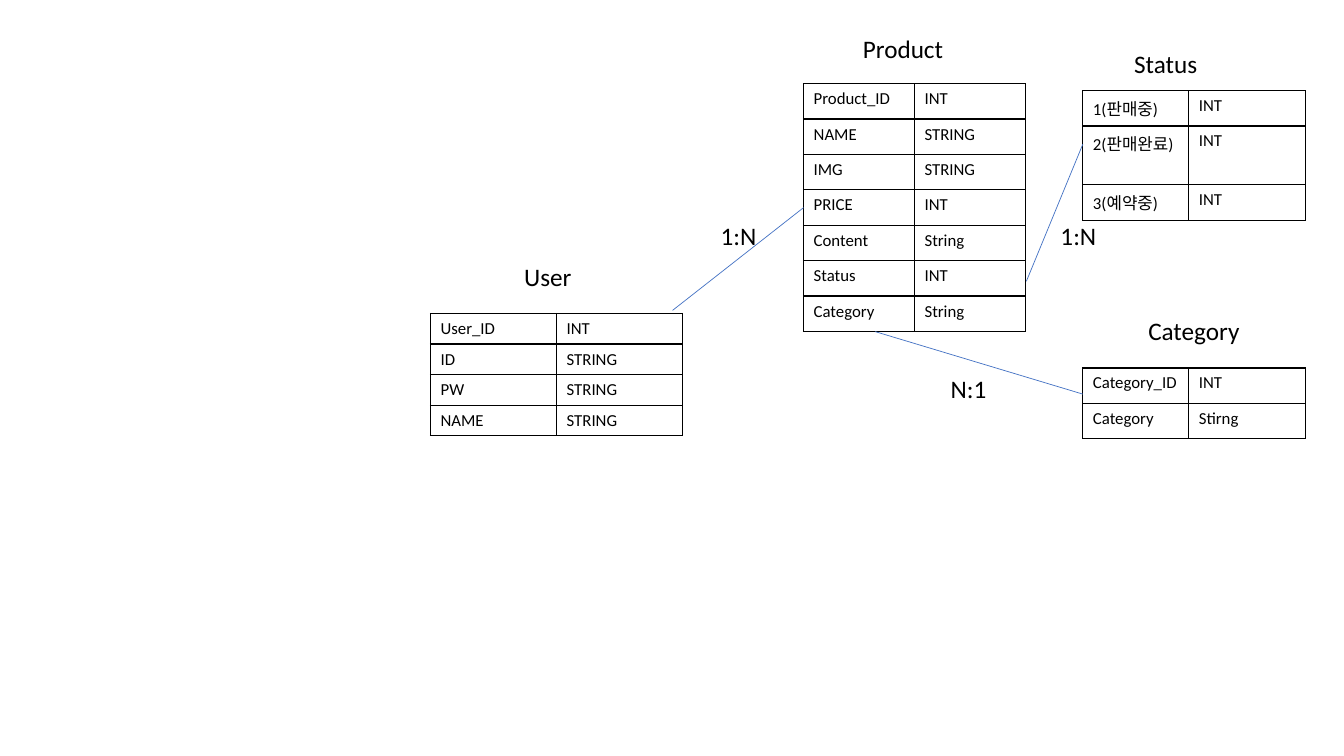
"""Build a slide with the entity tables of a shop and their relations."""
from dataclasses import dataclass

from lxml import etree
from pptx import Presentation
from pptx.dml.color import RGBColor
from pptx.enum.shapes import MSO_CONNECTOR
from pptx.oxml.ns import qn
from pptx.util import Inches, Pt

STRAIGHT = MSO_CONNECTOR.STRAIGHT


@dataclass(frozen=True)
class Theme:
    font: str = "Calibri"
    ink: str = "000000"
    link: str = "4472C4"
    head: int = 18
    body: int = 12
    rule: float = 1
    thin: float = 0.5


theme = Theme()


def style(para, size):
    para.font.name = theme.font
    para.font.size = Pt(size)
    para.font.color.rgb = RGBColor.from_string(theme.ink)


def border(cell):
    props = cell._tc.get_or_add_tcPr()
    for side in ("lnL", "lnR", "lnT", "lnB"):
        line = etree.SubElement(props, qn(f"a:{side}"), w=str(Pt(theme.rule)))
        fill = etree.SubElement(line, qn("a:solidFill"))
        etree.SubElement(fill, qn("a:srgbClr"), val=theme.ink)


deck = Presentation()
deck.slide_width, deck.slide_height = Inches(13.33), Inches(7.5)
slide = deck.slides.add_slide(deck.slide_layouts[6])
shapes = slide.shapes

user = [("User_ID", "INT"), ("ID", "STRING"), ("PW", "STRING"), ("NAME", "STRING")]
product = [
    ("Product_ID", "INT"), ("NAME", "STRING"), ("IMG", "STRING"), ("PRICE", "INT"),
    ("Content", "String"), ("Status", "INT"), ("Category", "String"),
]
status = [("1(판매중)", "INT"), ("2(판매완료)", "INT"), ("3(예약중)", "INT")]
category = [("Category_ID", "INT"), ("Category", "Stirng")]

tables = [
    (user, 4.27, 3.11, 1.21, (1.25, 1.25)),
    (product, 7.97, 0.83, 2.46, (1.1, 1.1)),
    (status, 10.74, 0.9, 1.05, (1.05, 1.16)),
    (category, 10.74, 3.65, 0.7, (1.05, 1.16)),
]
for rows, left, top, height, widths in tables:
    frame = shapes.add_table(len(rows), len(widths), Inches(left), Inches(top),
                             Inches(sum(widths)), Inches(height))
    table = frame.table
    table.first_row = table.horz_banding = False
    for column, width in zip(table.columns, widths):
        column.width = Inches(width)
    for r, row in enumerate(rows):
        for c, value in enumerate(row):
            cell = table.cell(r, c)
            cell.text = value
            style(cell.text_frame.paragraphs[0], theme.body)
            border(cell)
            cell.fill.background()

labels = [
    ("User", 5.1, 2.54, 0.84),
    ("Product", 8.46, 0.28, 1.11),
    ("Status", 11.15, 0.43, 1.11),
    ("Category", 11.29, 3.08, 1.11),
    ("1:N", 7.05, 2.14, 0.84),
    ("1:N", 10.42, 2.14, 0.84),
    ("N:1", 9.33, 3.65, 0.84),
]
for text, left, top, width in labels:
    box = shapes.add_textbox(Inches(left), Inches(top), Inches(width), Inches(0.4))
    box.text_frame.word_wrap = True
    box.text_frame.text = text
    style(box.text_frame.paragraphs[0], theme.head)

links = [
    (6.67, 3.08, 7.97, 2.06),
    (10.74, 3.91, 8.68, 3.29),
    (10.18, 2.79, 10.74, 1.43),
]
for ends in links:
    link = shapes.add_connector(STRAIGHT, *map(Inches, ends))
    link.line.color.rgb = RGBColor.from_string(theme.link)
    link.line.width = Pt(theme.thin)
    etree.SubElement(link._element.spPr, qn("a:effectLst"))

deck.save("out.pptx")
